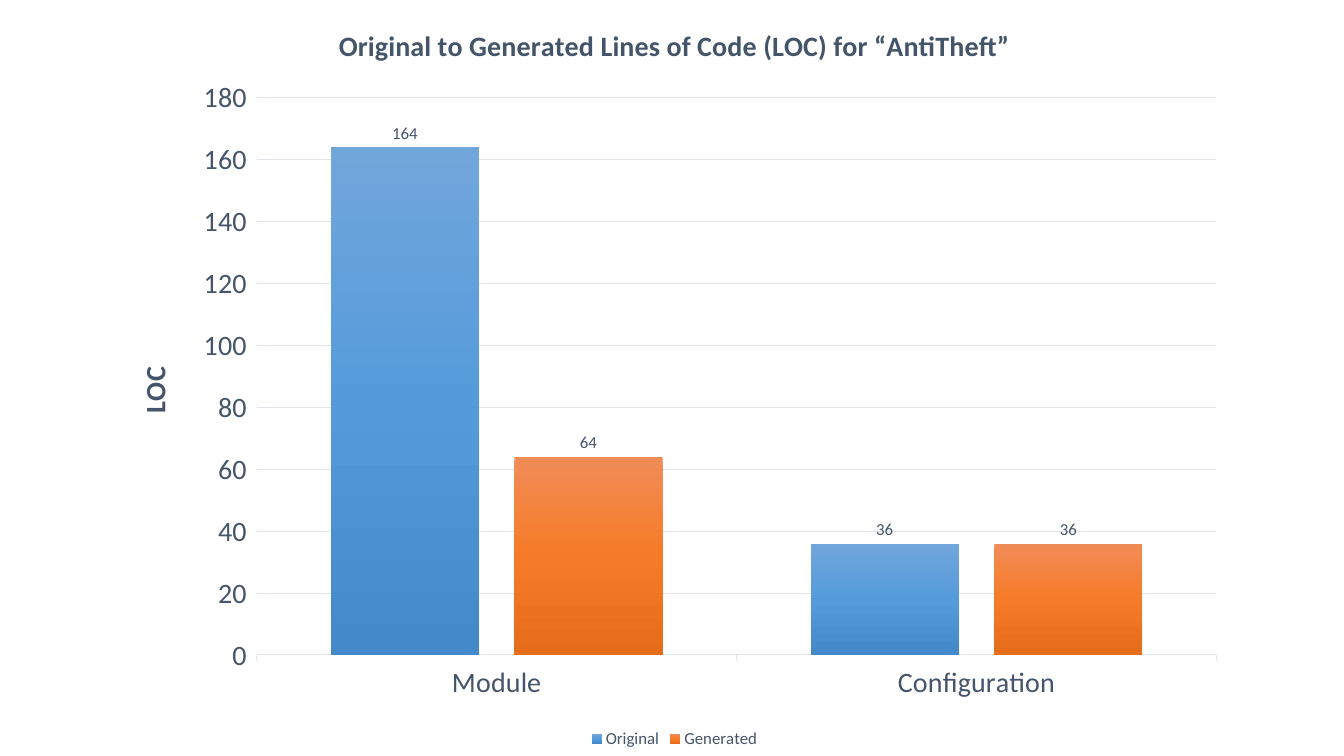
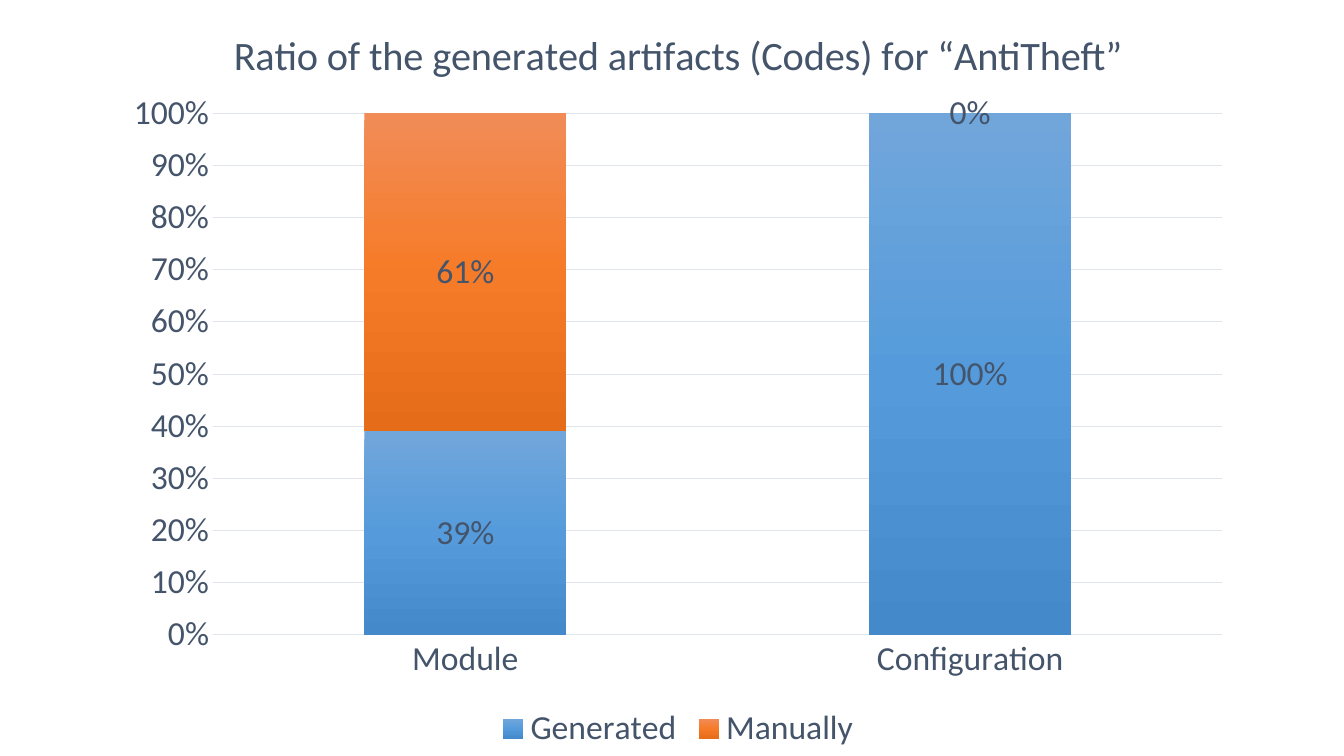
from pptx import Presentation
from pptx.chart.data import CategoryChartData
from pptx.dml.color import RGBColor
from pptx.enum.chart import (XL_CHART_TYPE as CHART, XL_LABEL_POSITION as LABEL,
                             XL_LEGEND_POSITION as LEGEND, XL_TICK_MARK as TICK)
from pptx.oxml import parse_xml
from pptx.oxml.ns import nsdecls, qn
from pptx.util import Inches, Pt

# Shared look
FONT = "Calibri"
INK = RGBColor(0x44, 0x54, 0x6A)
GRID = RGBColor(0xE0, 0xE5, 0xEB)
BLUE = ("71A6DB", "559BDB", "448ACA")
ORANGE = ("F18C57", "F67B28", "E56C19")

# Content; "plot" is the inner plot area as fractions of the chart
CATEGORIES = ["Module", "Configuration"]
CHARTS = [
    {"title": "Original to Generated Lines of Code (LOC) for “AntiTheft”",
     "type": CHART.COLUMN_CLUSTERED, "box": (1.09, 0, 11.2, 7.47),
     "plot": (0.13, 0.13, 0.85, 0.74),
     "series": [("Original", (164, 36)), ("Generated", (64, 36))],
     "title_font": {"size": Pt(20), "bold": True},
     "axis_size": 20, "legend_size": 12, "label_size": 12,
     "value_title": "LOC", "scale": (180, 20), "format": "General",
     "tick": TICK.OUTSIDE, "label_pos": LABEL.OUTSIDE_END,
     "gap": 100, "overlap": -24},
    {"title": "Ratio of the generated artifacts (Codes) for “AntiTheft”",
     "type": CHART.COLUMN_STACKED_100, "box": (1.1, 0, 11.25, 7.5),
     "plot": (0.09, 0.15, 0.89, 0.69),
     "series": [("Generated", (0.39, 1)), ("Manually", (0.61, 0))],
     "title_font": {"size": Pt(28.8), "bold": False},
     "axis_size": 24, "legend_size": 24, "label_size": 24,
     "value_title": None, "scale": (1, 0.1), "format": "0%",
     "tick": TICK.NONE, "label_pos": LABEL.CENTER,
     "gap": 150, "overlap": 100},
]


def style(font, **values):
    for name, value in {"name": FONT, "bold": False, **values}.items():
        setattr(font, name, value)
    font.color.rgb = INK


def set_title(owner, text, **values):
    tf = owner.text_frame
    tf.text = text
    style(tf.paragraphs[0].runs[0].font, **values)


def fill_gradient(series, colors):
    series.format.fill.gradient()
    series.format.fill.gradient_angle = 270
    stops = "".join(f'<a:gs pos="{i * 50000}"><a:srgbClr val="{c}"/></a:gs>'
                    for i, c in enumerate(colors))
    old = next(series.format.fill._xPr.iter(qn("a:gsLst")))
    old.getparent().replace(
        old, parse_xml(f'<a:gsLst {nsdecls("a")}>{stops}</a:gsLst>'))


def place_plot(chart, fractions):
    area = next(chart.element.iter(qn("c:plotArea"))) if hasattr(chart, "element") \
        else next(chart._chartSpace.iter(qn("c:plotArea")))
    for old in area.findall(qn("c:layout")):
        area.remove(old)
    sizes = "".join(f'<c:{k} val="{v}"/>' for k, v in zip("xywh", fractions))
    area.insert(0, parse_xml(
        f'<c:layout {nsdecls("c")}><c:manualLayout><c:layoutTarget val="inner"/>'
        f'<c:xMode val="edge"/><c:yMode val="edge"/>{sizes}'
        '</c:manualLayout></c:layout>'))


def add_column_chart(slide, item):
    data = CategoryChartData(number_format=item["format"])
    data.categories = CATEGORIES
    for name, values in item["series"]:
        data.add_series(name, values)
    box = [Inches(v) for v in item["box"]]
    chart = slide.shapes.add_chart(item["type"], *box, data).chart
    chart.font.name = FONT
    place_plot(chart, item["plot"])

    # Title and legend
    chart.has_title = True
    set_title(chart.chart_title, item["title"], **item["title_font"])
    chart.chart_title.include_in_layout = False
    chart.has_legend = True
    chart.legend.position = LEGEND.BOTTOM
    chart.legend.include_in_layout = False
    style(chart.legend.font, size=Pt(item["legend_size"]))

    # Axes
    cat, val = chart.category_axis, chart.value_axis
    for axis in (cat, val):
        axis.major_tick_mark = item["tick"]
        axis.minor_tick_mark = TICK.NONE
        style(axis.tick_labels.font, size=Pt(item["axis_size"]))
    val.has_major_gridlines = True
    for line in (cat.format.line, val.major_gridlines.format.line):
        line.color.rgb = GRID
        line.width = Pt(0.75)
    val.format.line.fill.background()
    val.minimum_scale = 0
    val.maximum_scale, val.major_unit = item["scale"]
    val.tick_labels.number_format = item["format"]
    val.tick_labels.number_format_is_linked = False
    if item["value_title"]:
        set_title(val.axis_title, item["value_title"],
                  size=Pt(item["axis_size"]), bold=True)

    # Columns and their labels
    plot = chart.plots[0]
    plot.vary_by_categories = False
    plot.gap_width, plot.overlap = item["gap"], item["overlap"]
    for series, colors in zip(plot.series, (BLUE, ORANGE)):
        fill_gradient(series, colors)
        labels = series.data_labels
        labels.show_value = True
        labels.position = item["label_pos"]
        labels.number_format = item["format"]
        labels.number_format_is_linked = False
        style(labels.font, size=Pt(item["label_size"]))


prs = Presentation()
prs.slide_width, prs.slide_height = Inches(13.33), Inches(7.5)
blank = prs.slide_layouts[6]
for item in CHARTS:
    add_column_chart(prs.slides.add_slide(blank), item)
prs.save("out.pptx")
